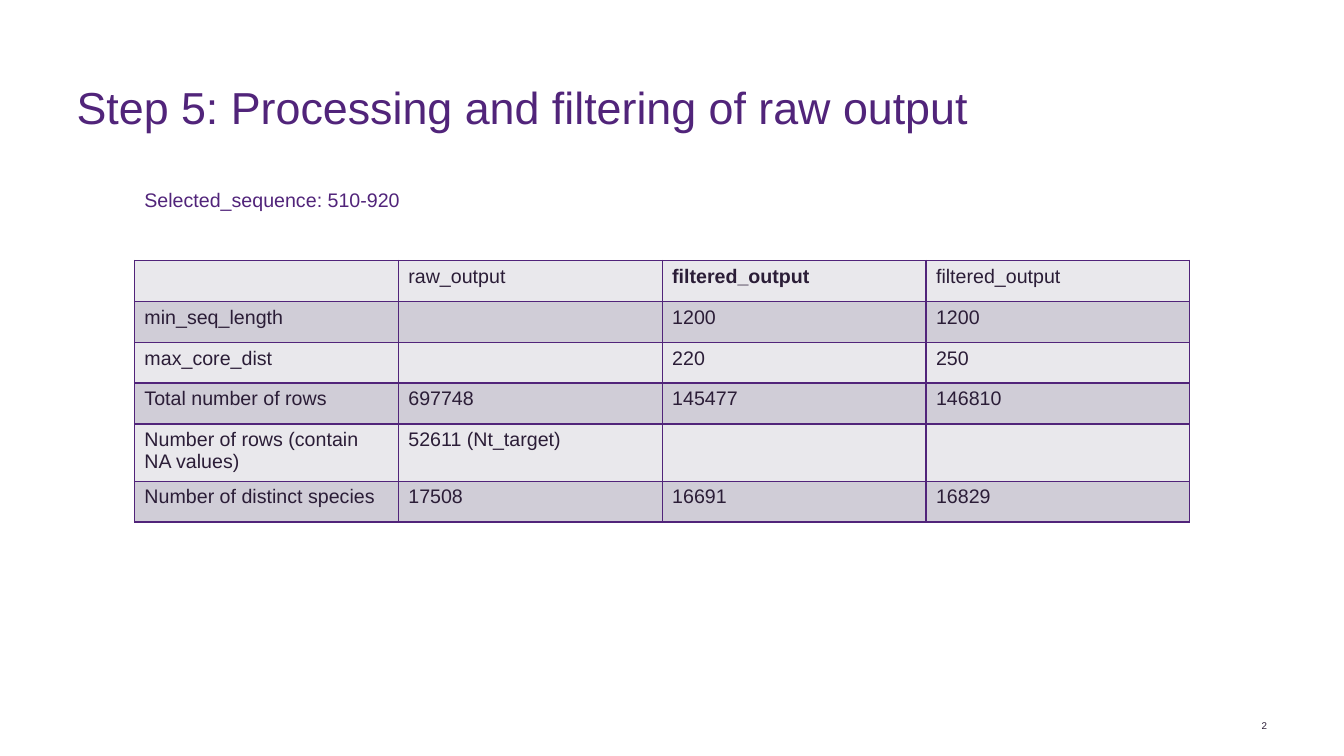
"""Build the slide on processing and filtering of raw output."""
from dataclasses import dataclass

from lxml.etree import SubElement
from pptx import Presentation
from pptx.dml.color import RGBColor
from pptx.enum.text import MSO_ANCHOR, PP_ALIGN
from pptx.oxml.ns import qn
from pptx.util import Pt


@dataclass(frozen=True)
class Theme:
    font: str = "Arial"
    purple: str = "51247A"
    ink: str = "2B1D37"
    bands: tuple = ("E9E8EC", "D0CDD7")
    title_size: int = 32
    body_size: int = 14
    number_size: int = 7


theme = Theme()


def add_run(paragraph, text, size, color, bold=False):
    run = paragraph.add_run()
    run.text = text
    run.font.name = theme.font
    run.font.size = Pt(size)
    run.font.bold = bold
    run.font.color.rgb = RGBColor.from_string(color)


def add_border(cell, side):
    line = SubElement(cell._tc.get_or_add_tcPr(), qn(f"a:{side}"), w=str(Pt(1)))
    fill = SubElement(line, qn("a:solidFill"))
    SubElement(fill, qn("a:srgbClr"), val=theme.purple)


presentation = Presentation()
presentation.slide_width = Pt(960)
presentation.slide_height = Pt(540)
slide = presentation.slides.add_slide(presentation.slide_layouts[6])

labels = [
    ("Step 5: Processing and filtering of raw output", (54.7, 60.5, 754, 36.7),
     theme.title_size, theme.purple, PP_ALIGN.LEFT, MSO_ANCHOR.MIDDLE, (0, 0)),
    ("Selected_sequence: 510-920", (96, 131, 207.4, 24.2),
     theme.body_size, theme.purple, PP_ALIGN.LEFT, MSO_ANCHOR.TOP, (7.2, 3.6)),
    ("2", (882.7, 514, 22.3, 8.6),
     theme.number_size, theme.ink, PP_ALIGN.RIGHT, MSO_ANCHOR.MIDDLE, (0, 0)),
]
for text, box, size, color, alignment, anchor, (side_inset, end_inset) in labels:
    frame = slide.shapes.add_textbox(*map(Pt, box)).text_frame
    frame.word_wrap = True
    frame.vertical_anchor = anchor
    frame.margin_left = frame.margin_right = Pt(side_inset)
    frame.margin_top = frame.margin_bottom = Pt(end_inset)
    paragraph = frame.paragraphs[0]
    paragraph.alignment = alignment
    if size == theme.title_size:
        paragraph.line_spacing = 0.9
    add_run(paragraph, text, size, color)

rows = [
    ("", "raw_output", "filtered_output", "filtered_output"),
    ("min_seq_length", "", "1200", "1200"),
    ("max_core_dist", "", "220", "250"),
    ("Total number of rows", "697748", "145477", "146810"),
    ("Number of rows (contain NA values)", "52611 (Nt_target)", "", ""),
    ("Number of distinct species", "17508", "16691", "16829"),
]
row_height = 29.2
column_width = 188.5
table = slide.shapes.add_table(
    len(rows), len(rows[0]), Pt(96), Pt(186),
    Pt(column_width * len(rows[0])), Pt(row_height * len(rows)),
).table
for column in table.columns:
    column.width = Pt(column_width)
for row_index, values in enumerate(rows):
    table.rows[row_index].height = Pt(row_height)
    for column_index, value in enumerate(values):
        cell = table.cell(row_index, column_index)
        for side in ("lnL", "lnR", "lnT", "lnB"):
            add_border(cell, side)
        cell.fill.solid()
        cell.fill.fore_color.rgb = RGBColor.from_string(theme.bands[row_index % 2])
        if value:
            chosen = (row_index, column_index) == (0, 2)
            add_run(cell.text_frame.paragraphs[0], value, theme.body_size, theme.ink, chosen)

presentation.save("out.pptx")
